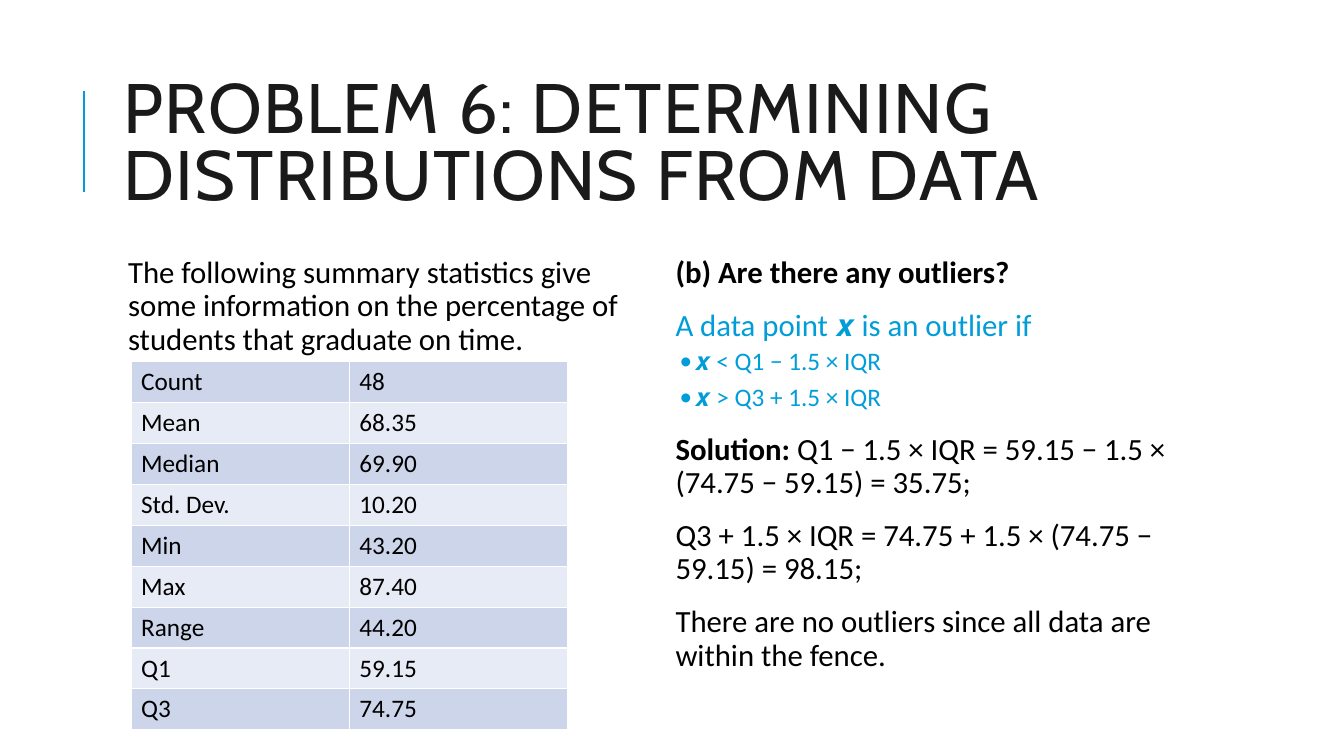
from lxml.etree import SubElement
from pptx import Presentation
from pptx.dml.color import RGBColor
from pptx.enum.shapes import MSO_CONNECTOR
from pptx.enum.text import MSO_ANCHOR, MSO_AUTO_SIZE, PP_ALIGN
from pptx.oxml.ns import qn
from pptx.util import Inches, Pt

TITLE = "PROBLEM 6: DETERMINING DISTRIBUTIONS FROM DATA"
ACCENT, INK, BLACK, WHITE = "009DD9", "1A1A1A", "000000", "FFFFFF"
BANDS = ("CCD5EA", "E7EBF5")

INTRO = [
    ("text", BLACK, [("The following summary statistics give some information on "
                      "the percentage of students that graduate on time.", False)]),
]
ANSWER = [
    ("text", BLACK, [("(b) Are there any outliers?", True)]),
    ("text", ACCENT, [("A data point 𝒙 is an outlier if", False)]),
    ("bullet", ACCENT, [("𝒙 < Q1 − 1.5 × IQR", False)]),
    ("bullet", ACCENT, [("𝒙 > Q3 + 1.5 × IQR", False)]),
    ("text", BLACK, [("Solution: ", True),
                     ("Q1 − 1.5 × IQR = 59.15 − 1.5 × (74.75 − 59.15) = 35.75;", False)]),
    ("text", BLACK, [("Q3 + 1.5 × IQR = 74.75 + 1.5 × (74.75 − 59.15) = 98.15;", False)]),
    ("text", BLACK, [("There are no outliers since all data are within the fence.", False)]),
]
STATISTICS = [
    ("Count", "48"), ("Mean", "68.35"), ("Median", "69.90"),
    ("Std. Dev.", "10.20"), ("Min", "43.20"), ("Max", "87.40"),
    ("Range", "44.20"), ("Q1", "59.15"), ("Q3", "74.75"),
]
STYLES = {
    "text": dict(level=0, size=22, before=12, after=2, margin=0.1, hang=0.1, mark=" "),
    "bullet": dict(level=1, size=18, before=2, after=4, margin=0.29, hang=0.15, mark="•"),
}

LEFT, CONTENT_WIDTH = 1.12, 10.63
COLUMN_WIDTH, COLUMN_TOP, COLUMN_HEIGHT = 5.2, 2.5, 4.4
COLUMN_LEFTS = (LEFT, LEFT + CONTENT_WIDTH - COLUMN_WIDTH)
TABLE_LEFT, TABLE_TOP, TABLE_WIDTH, TABLE_HEIGHT = 1.3, 3.59, 4.33, 3.65


def color(value):
    return RGBColor.from_string(value)


def set_font(font, size, name, value):
    font.size, font.name = Pt(size), name
    font.color.rgb = color(value)


def place(box, left, top, width, height):
    box.left, box.top, box.width, box.height = map(Inches, (left, top, width, height))
    box.text_frame.auto_size = MSO_AUTO_SIZE.NONE
    box.text_frame.word_wrap = True


def add_title(page):
    box = page.shapes.title
    place(box, LEFT, 0.64, CONTENT_WIDTH, 1.64)
    box.text_frame.vertical_anchor = MSO_ANCHOR.MIDDLE
    para = box.text_frame.paragraphs[0]
    para.alignment, para.line_spacing = PP_ALIGN.LEFT, 0.8
    set_font(para.font, 50, "Cabin", INK)
    span = para.add_run()
    span.text = TITLE
    span.font._element.set("spc", "100")


def set_bullet(para, style):
    properties = para._p.get_or_add_pPr()
    properties.set("marL", str(Inches(style["margin"])))
    properties.set("indent", str(-Inches(style["hang"])))
    bullet_color = SubElement(properties, qn("a:buClr"))
    SubElement(bullet_color, qn("a:srgbClr"), val=ACCENT)
    SubElement(properties, qn("a:buFont"), typeface="Calibri")
    SubElement(properties, qn("a:buChar"), char=style["mark"])


def fill_body(box, left, content):
    place(box, left, COLUMN_TOP, COLUMN_WIDTH, COLUMN_HEIGHT)
    frame = box.text_frame
    frame.margin_left = frame.margin_right = Inches(0.05)
    frame.margin_top = frame.margin_bottom = Inches(0.05)
    for index, (kind, value, spans) in enumerate(content):
        style = STYLES[kind]
        para = frame.add_paragraph() if index else frame.paragraphs[0]
        para.level, para.line_spacing = style["level"], 0.9
        para.space_before, para.space_after = Pt(style["before"]), Pt(style["after"])
        set_bullet(para, style)
        set_font(para.font, style["size"], "Calibri", value)
        for text, bold in spans:
            span = para.add_run()
            span.text, span.font.bold = text, bold


def set_borders(cell):
    properties = cell._tc.get_or_add_tcPr()
    for index, side in enumerate(("lnL", "lnR", "lnT", "lnB")):
        border = properties.makeelement(qn(f"a:{side}"), {"w": str(Pt(1))})
        fill = SubElement(border, qn("a:solidFill"))
        SubElement(fill, qn("a:srgbClr"), val=WHITE)
        properties.insert(index, border)


def add_statistics(page):
    table = page.shapes.add_table(
        len(STATISTICS), 2, Inches(TABLE_LEFT), Inches(TABLE_TOP),
        Inches(TABLE_WIDTH), Inches(TABLE_HEIGHT)).table
    table.first_row = False
    for row, entries in enumerate(STATISTICS):
        for column, text in enumerate(entries):
            cell = table.cell(row, column)
            cell.text = text
            cell.fill.solid()
            cell.fill.fore_color.rgb = color(BANDS[row % 2])
            set_font(cell.text_frame.paragraphs[0].font, 18, "Calibri", BLACK)
            set_borders(cell)


def add_accent_line(page):
    line = page.shapes.add_connector(
        MSO_CONNECTOR.STRAIGHT, Inches(0.83), Inches(1.9), Inches(0.83), Inches(0.9))
    line.line.color.rgb, line.line.width = color(ACCENT), Pt(1.5)
    SubElement(line._element.spPr, qn("a:effectLst"))


def main():
    deck = Presentation()
    deck.slide_width, deck.slide_height = Inches(13.33), Inches(7.5)
    page = deck.slides.add_slide(deck.slide_layouts.get_by_name("Two Content"))
    add_accent_line(page)
    add_title(page)
    for index, (left, content) in enumerate(zip(COLUMN_LEFTS, (INTRO, ANSWER)), 1):
        fill_body(page.placeholders[index], left, content)
    add_statistics(page)
    deck.save("out.pptx")


if __name__ == "__main__":
    main()
